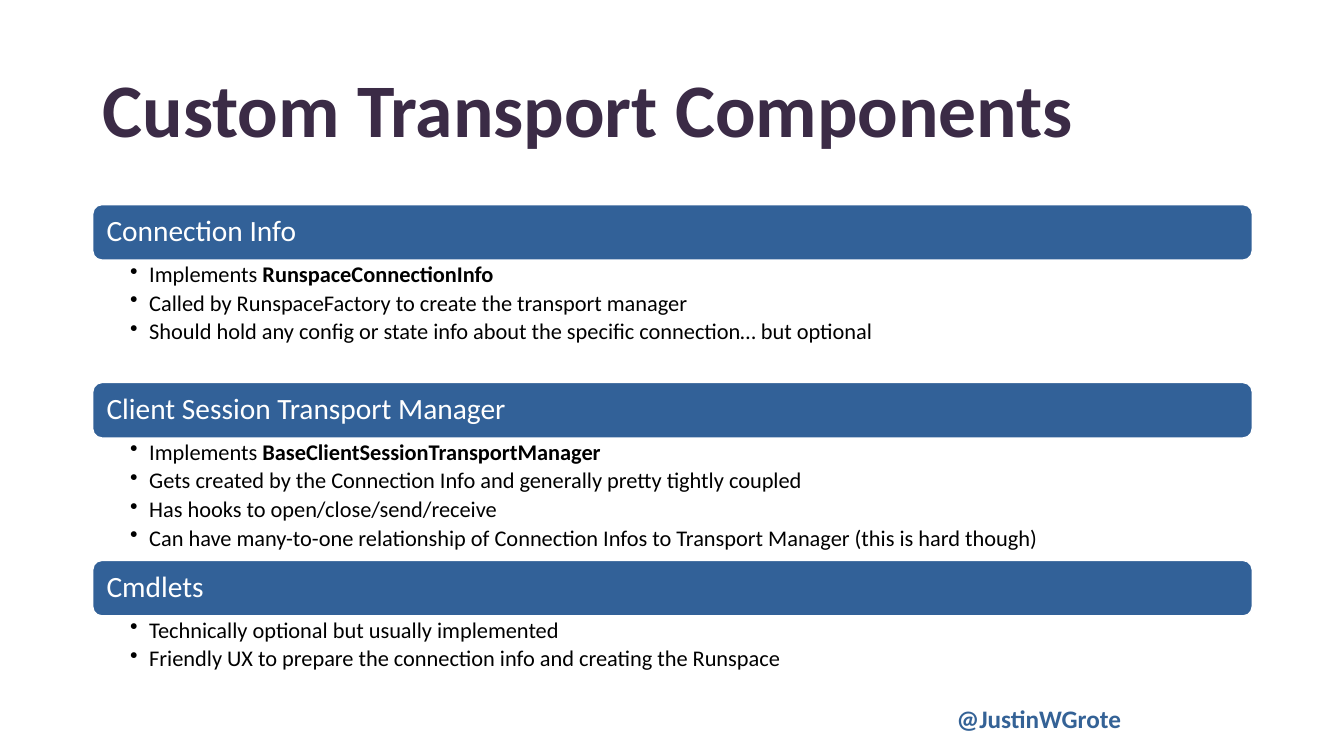
from lxml import etree
from pptx import Presentation
from pptx.dml.color import RGBColor
from pptx.enum.shapes import MSO_SHAPE
from pptx.enum.text import MSO_ANCHOR, PP_ALIGN
from pptx.oxml.ns import qn
from pptx.util import Inches, Pt

ROUND = MSO_SHAPE.ROUNDED_RECTANGLE
MIDDLE, TOP = MSO_ANCHOR.MIDDLE, MSO_ANCHOR.TOP
LEFT = PP_ALIGN.LEFT
PLUM = RGBColor(0x3B, 0x2B, 0x46)
BLUE = RGBColor(0x32, 0x61, 0x98)
NAVY = RGBColor(0x34, 0x62, 0x96)
WHITE = RGBColor(0xFF, 0xFF, 0xFF)
BLACK = RGBColor(0, 0, 0)
FONT = "Calibri"

EDGE, WIDE = 0.92, 11.5
START, STEP = 2.03, 1.765
BAR, LINE = 0.55, 0.3

PARTS = [
    ("Connection Info", "RunspaceConnectionInfo", [
        "Implements ",
        "Called by RunspaceFactory to create the transport manager",
        "Should hold any config or state info about the specific connection… but optional",
    ]),
    ("Client Session Transport Manager", "BaseClientSessionTransportManager", [
        "Implements ",
        "Gets created by the Connection Info and generally pretty tightly coupled",
        "Has hooks to open/close/send/receive",
        "Can have many-to-one relationship of Connection Infos to Transport Manager (this is hard though)",
    ]),
    ("Cmdlets", "", [
        "Technically optional but usually implemented",
        "Friendly UX to prepare the connection info and creating the Runspace",
    ]),
]


def style(run, size, color, bold=False):
    font = run.font
    font.name, font.size, font.bold = FONT, Pt(size), bold
    font.color.rgb = color


def inset(frame, left, top, right, bottom):
    frame.word_wrap = True
    frame.margin_left, frame.margin_top = Inches(left), Inches(top)
    frame.margin_right, frame.margin_bottom = Inches(right), Inches(bottom)


def label(slide, box, text, size, color, anchor=TOP, space=1.0):
    shape = slide.shapes.add_textbox(*map(Inches, box))
    frame = shape.text_frame
    inset(frame, 0.1, 0.05, 0.1, 0.05)
    frame.vertical_anchor = anchor
    frame.text = text
    line = frame.paragraphs[0]
    line.line_spacing = space
    style(line.runs[0], size, color, True)


def header(slide, top, text):
    bar = slide.shapes.add_shape(ROUND, *map(Inches, (EDGE, top, WIDE, BAR)))
    bar.shadow.inherit = False
    bar.fill.solid()
    bar.fill.fore_color.rgb = BLUE
    bar.line.color.rgb = WHITE
    bar.line.width = Pt(1)
    frame = bar.text_frame
    inset(frame, 0.11, 0.09, 0.11, 0.09)
    frame.vertical_anchor = MIDDLE
    frame.text = text
    line = frame.paragraphs[0]
    line.alignment = LEFT
    line.line_spacing = 0.9
    style(line.runs[0], 21, WHITE)


def bullet(line):
    props = line._p.get_or_add_pPr()
    props.set("marL", str(Inches(0.19)))
    props.set("indent", str(-Inches(0.19)))
    mark = etree.SubElement(props, qn("a:buChar"))
    mark.set("char", "•")


def points(slide, top, items, base):
    box = EDGE, top, WIDE, LINE * len(items)
    frame = slide.shapes.add_textbox(*map(Inches, box)).text_frame
    inset(frame, 0.37, 0.03, 0.16, 0.03)
    frame.text = "\n".join(items)
    for line in frame.paragraphs:
        bullet(line)
        line.line_spacing = 0.9
        line.space_after = Pt(3.2)
        style(line.runs[0], 16, BLACK)
    if base:
        run = frame.paragraphs[0].add_run()
        run.text = base
        style(run, 16, BLACK, True)


def main():
    deck = Presentation()
    deck.slide_width, deck.slide_height = Inches(13.33), Inches(7.5)
    slide = deck.slides.add_slide(deck.slide_layouts[6])
    label(slide, (9.39, 6.93, 3.9, 0.4), "@JustinWGrote", 18, NAVY)
    label(slide, (EDGE, 0.4, 10.64, 1.45), "Custom Transport Components",
          54, PLUM, MIDDLE, 0.9)
    for row, (name, base, items) in enumerate(PARTS):
        top = START + row * STEP
        header(slide, top, name)
        points(slide, top + BAR, items, base)
    deck.save("out.pptx")


if __name__ == "__main__":
    main()
